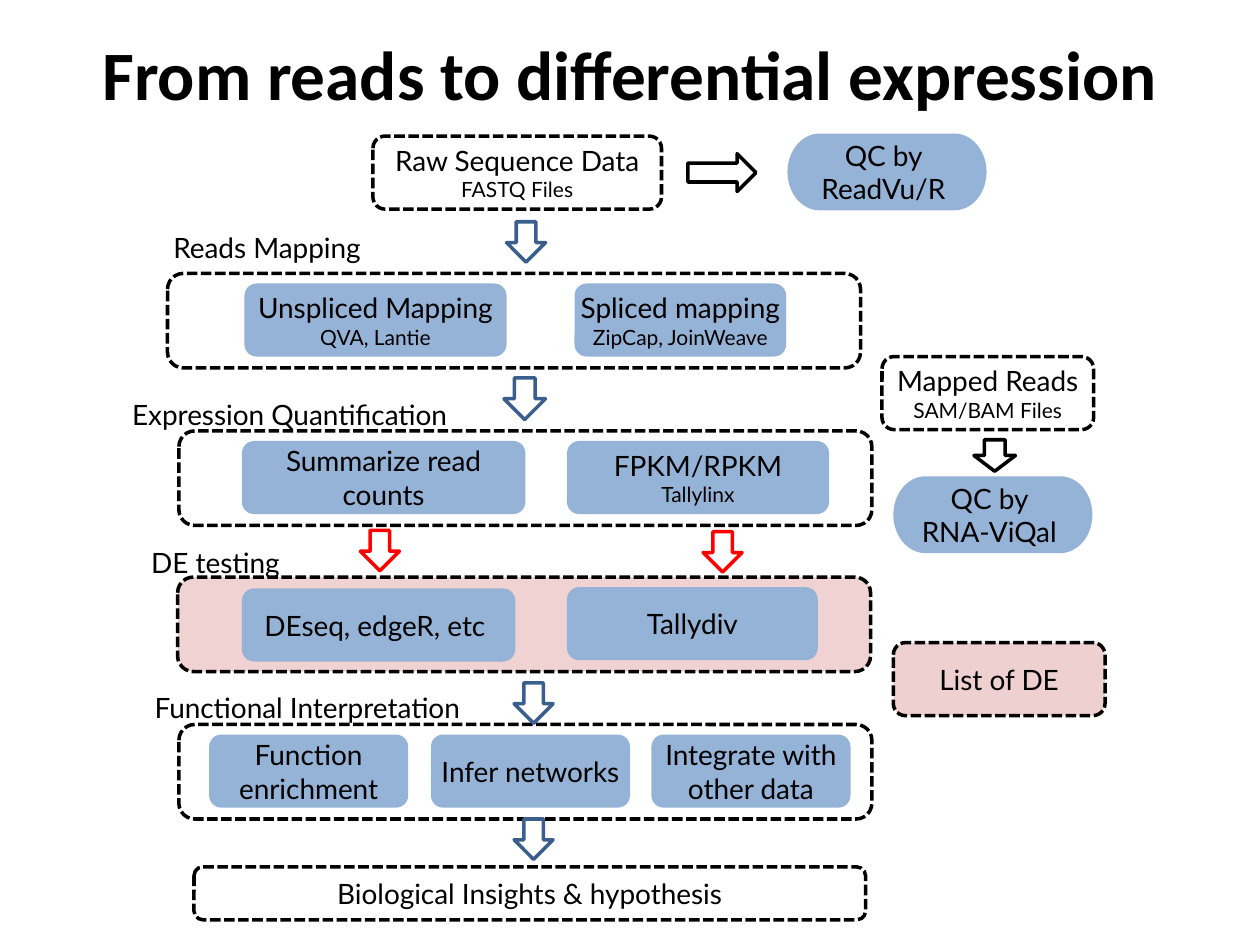
"""Build the slide that shows the steps from reads to differential expression."""
from lxml.etree import SubElement
from pptx import Presentation
from pptx.dml.color import RGBColor
from pptx.enum.dml import MSO_LINE
from pptx.enum.shapes import MSO_SHAPE
from pptx.enum.text import MSO_ANCHOR, PP_ALIGN
from pptx.oxml.ns import qn
from pptx.util import Inches, Pt

COLORS = {"black": "000000", "blue": "95B3D7", "navy": "3A5F8C", "red": "FF0000", "pink": "E6B9B8"}


def write(sp, lines, sizes=(16, 16), font="Lato", bold=False, inset=0):
    tf = sp.text_frame
    tf.word_wrap = True
    tf.vertical_anchor = MSO_ANCHOR.MIDDLE
    tf.margin_left = tf.margin_right = Inches(inset)
    tf.margin_top = tf.margin_bottom = Inches(inset / 2)
    for i, (text, size) in enumerate(zip(lines, sizes)):
        p = tf.add_paragraph() if i else tf.paragraphs[0]
        p.alignment = PP_ALIGN.CENTER
        r = p.add_run()
        r.text = text
        r.font.size = Pt(size)
        r.font.name = font
        r.font.bold = bold
        r.font.color.rgb = RGBColor.from_string(COLORS["black"])


def add_box(s, kind, box, fill=None, line=None, dashed=False, alpha=None):
    sp = s.shapes.add_shape(kind, *[Inches(v) for v in box])
    sp.shadow.inherit = False
    if fill:
        sp.fill.solid()
        sp.fill.fore_color.rgb = RGBColor.from_string(COLORS[fill])
        if alpha:
            color = sp.fill._xPr.find(qn("a:solidFill"))[0]
            SubElement(color, qn("a:alpha"), val=str(alpha * 1000))
    else:
        sp.fill.background()
    if line:
        sp.line.color.rgb = RGBColor.from_string(COLORS[line])
        sp.line.width = Pt(2)
        if dashed:
            sp.line.dash_style = MSO_LINE.SQUARE_DOT
    else:
        sp.line.fill.background()
    return sp


prs = Presentation()
prs.slide_width, prs.slide_height = Inches(10), Inches(7.5)
s = prs.slides.add_slide(prs.slide_layouts[6])
ROUND = MSO_SHAPE.ROUNDED_RECTANGLE

title = s.shapes.add_textbox(Inches(0.5), Inches(-0.05), Inches(9), Inches(1.25))
write(title, ["From reads to differential expression"], sizes=[39.6], font="Calibri", bold=True, inset=0.1)

stages = [(1.33, 2.17, None), (1.42, 3.42, None), (1.41, 4.58, "pink"), (1.42, 5.75, None)]
for x, y, fill in stages:
    add_box(s, ROUND, (x, y, 5.5, 0.75), fill, "black", dashed=True, alpha=64)

labels = [
    (0.74, 1.67, 2.76, "Reads Mapping"),
    (0.92, 3, 2.76, "Expression Quantification"),
    (1, 4.17, 1.42, "DE testing"),
    (1.06, 5.32, 2.76, "Functional Interpretation"),
]
for x, y, w, text in labels:
    write(add_box(s, ROUND, (x, y, w, 0.58)), [text])

data_boxes = [
    (2.96, 1.08, 2.29, None, ["Raw Sequence Data", "FASTQ Files"]),
    (7, 2.83, 1.68, None, ["Mapped Reads", "SAM/BAM Files"]),
    (7.09, 5.1, 1.68, "pink", ["List of DE"]),
]
for x, y, w, fill, lines in data_boxes:
    sp = add_box(s, ROUND, (x, y, w, 0.58), fill, "black", dashed=True, alpha=66)
    write(sp, lines, sizes=(16, 12))

methods = [
    (1.94, 2.25, 2.08, ["Unspliced Mapping", "QVA, Lantie"]),
    (4.56, 2.25, 1.68, ["Spliced mapping", "ZipCap, JoinWeave"]),
    (1.92, 3.5, 2.25, ["Summarize read counts"]),
    (4.5, 3.5, 2.08, ["FPKM/RPKM", "Tallylinx"]),
    (1.92, 4.67, 2.17, ["DEseq, edgeR, etc "]),
    (4.5, 4.66, 1.99, ["Tallydiv"]),
    (1.66, 5.83, 1.58, ["Function enrichment"]),
    (3.42, 5.83, 1.58, ["Infer networks"]),
    (5.17, 5.83, 1.58, ["Integrate with other data"]),
]
for x, y, w, lines in methods:
    write(add_box(s, ROUND, (x, y, w, 0.58), "blue"), lines, sizes=(16, 12))

for x, y, tool in [(6.25, 1.06, "ReadVu/R "), (7.09, 3.78, "RNA-ViQal ")]:
    sp = add_box(s, MSO_SHAPE.FLOWCHART_TERMINATOR, (x, y, 1.58, 0.61), "blue")
    write(sp, ["QC by ", tool], inset=0.1)

insights = add_box(s, ROUND, (1.54, 6.88, 5.33, 0.42), line="black", dashed=True)
write(insights, ["Biological Insights & hypothesis"], inset=0.1)

down_arrows = [
    (4.02, 1.76, 0.31, 0.32, "navy"),
    (4, 3, 0.33, 0.33, "navy"),
    (2.86, 4.21, 0.31, 0.32, "red"),
    (5.58, 4.22, 0.31, 0.32, "red"),
    (4.08, 5.42, 0.31, 0.32, "navy"),
    (4.08, 6.5, 0.31, 0.32, "navy"),
    (7.73, 3.49, 0.33, 0.25, "black"),
]
for *box, color in down_arrows:
    add_box(s, MSO_SHAPE.DOWN_ARROW, box, line=color)
add_box(s, MSO_SHAPE.RIGHT_ARROW, (5.46, 1.22, 0.54, 0.3), line="black")

prs.save("out.pptx")
